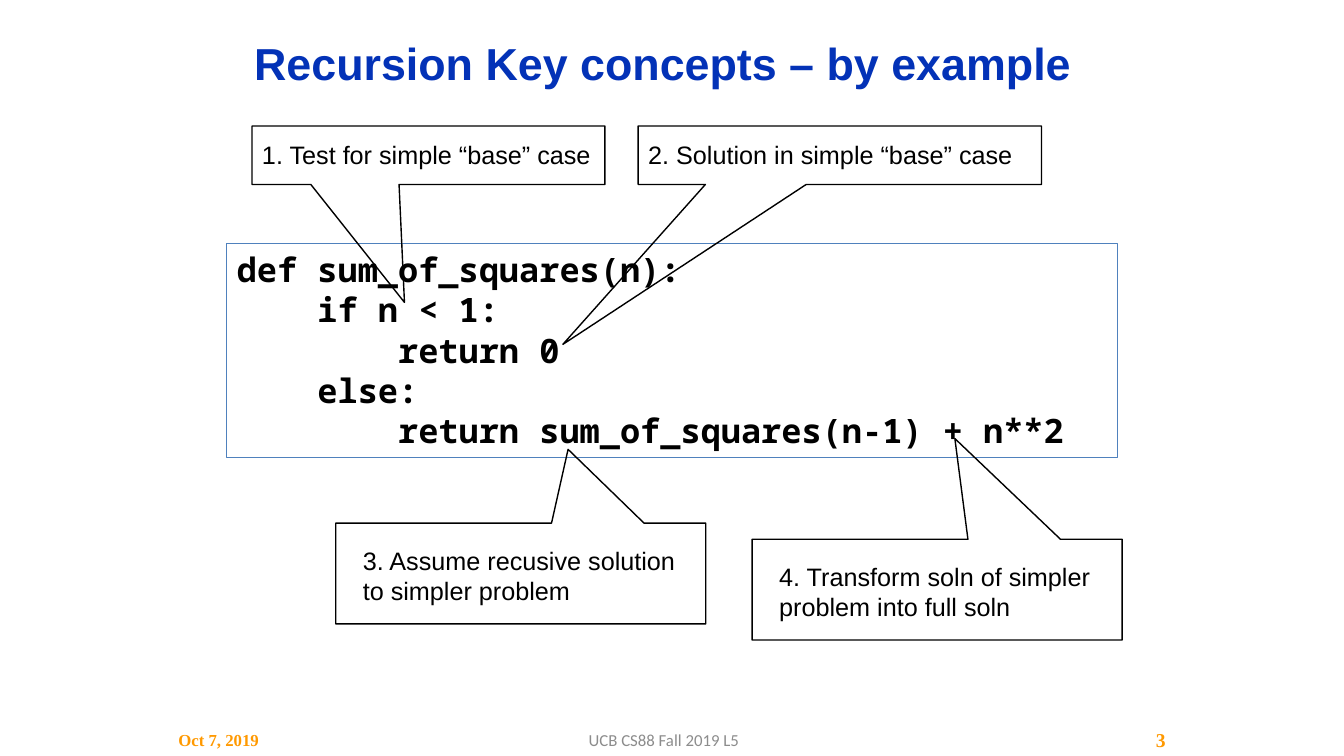
from dataclasses import dataclass

from pptx import Presentation
from pptx.dml.color import RGBColor
from pptx.enum.shapes import MSO_SHAPE as Shape
from pptx.enum.text import MSO_ANCHOR as Anchor, PP_ALIGN as Align
from pptx.util import Inches, Pt


@dataclass(frozen=True)
class Theme:
    title = ("Arial", 32, "0332B7", True)
    code = ("Noto Sans Mono", 24, "000000", True)
    note = ("Arial", 18, "000000", False)
    date = ("Times New Roman", 12, "FF9900", True)
    footer = ("Calibri", 12, "8C8C8C", False)
    number = ("Times New Roman", 14, "FF9900", True)
    code_line = "4F81BD"
    callout_line = "000000"


def write(box, text, style, align=Align.LEFT, anchor=Anchor.TOP):
    name, size, color, bold = style
    frame = box.text_frame
    frame.text = text
    frame.word_wrap = True
    frame.vertical_anchor = anchor
    for para in frame.paragraphs:
        para.alignment = align
        for span in para.runs:
            span.font.name = name
            span.font.size = Pt(size)
            span.font.bold = bold
            span.font.color.rgb = RGBColor.from_string(color)


def outline(shape, color, width):
    shape.shadow.inherit = False
    shape.fill.background()
    shape.line.color.rgb = RGBColor.from_string(color)
    shape.line.width = Pt(width)


theme = Theme()
deck = Presentation()
deck.slide_width = Inches(13.33)
deck.slide_height = Inches(7.5)
page = deck.slides.add_slide(deck.slide_layouts[5])

title = page.shapes.title
title.left, title.top = Inches(2.42), Inches(0.25)
title.width, title.height = Inches(8.42), Inches(0.81)
write(title, "Recursion Key concepts – by example", theme.title, anchor=Anchor.MIDDLE)
title.text_frame.paragraphs[0].line_spacing = 0.9

code_lines = [
    "def sum_of_squares(n):",
    "    if n < 1:",
    "        return 0",
    "    else:",
    "        return sum_of_squares(n-1) + n**2",
]
code = page.shapes.add_shape(
    Shape.RECTANGLE, Inches(2.25), Inches(2.42), Inches(8.83), Inches(2.12))
outline(code, theme.code_line, 0.75)
write(code, "\n".join(code_lines), theme.code)
for para in code.text_frame.paragraphs:
    para.line_spacing = Pt(28.8)

callouts = [
    ("1. Test for simple “base” case",
     (2.5, 1.25, 3.5, 0.58), (-0.068, 2.517), (2.5, 1.33, 3.49, 0.4)),
    ("2. Solution in simple “base” case",
     (6.33, 1.25, 4, 0.58), (-0.687, 3.237), (6.33, 1.33, 3.85, 0.4)),
    ("3. Assume recusive solution to simpler problem",
     (3.33, 5.19, 3.67, 1), (0.128, -1.232), (3.5, 5.36, 3.33, 0.71)),
    ("4. Transform soln of simpler problem into full soln",
     (7.46, 5.35, 3.67, 1), (0.048, -1.499), (7.63, 5.52, 3.33, 0.71)),
]
for text, frame_area, tip, text_area in callouts:
    group = page.shapes.add_group_shape()
    callout = group.shapes.add_shape(
        Shape.RECTANGULAR_CALLOUT, *map(Inches, frame_area))
    callout.adjustments[0], callout.adjustments[1] = tip
    outline(callout, theme.callout_line, 1)
    label = group.shapes.add_textbox(*map(Inches, text_area))
    write(label, text, theme.note)

footers = [
    ("Oct 7, 2019", 1.67, 1.67, theme.date, Align.LEFT),
    ("UCB CS88 Fall 2019 L5", 5, 3.17, theme.footer, Align.CENTER),
    ("3", 11.08, 0.58, theme.number, Align.RIGHT),
]
for text, left, width, style, align in footers:
    box = page.shapes.add_textbox(Inches(left), Inches(7.17), Inches(width), Inches(0.33))
    write(box, text, style, align, Anchor.MIDDLE)

deck.save("out.pptx")
